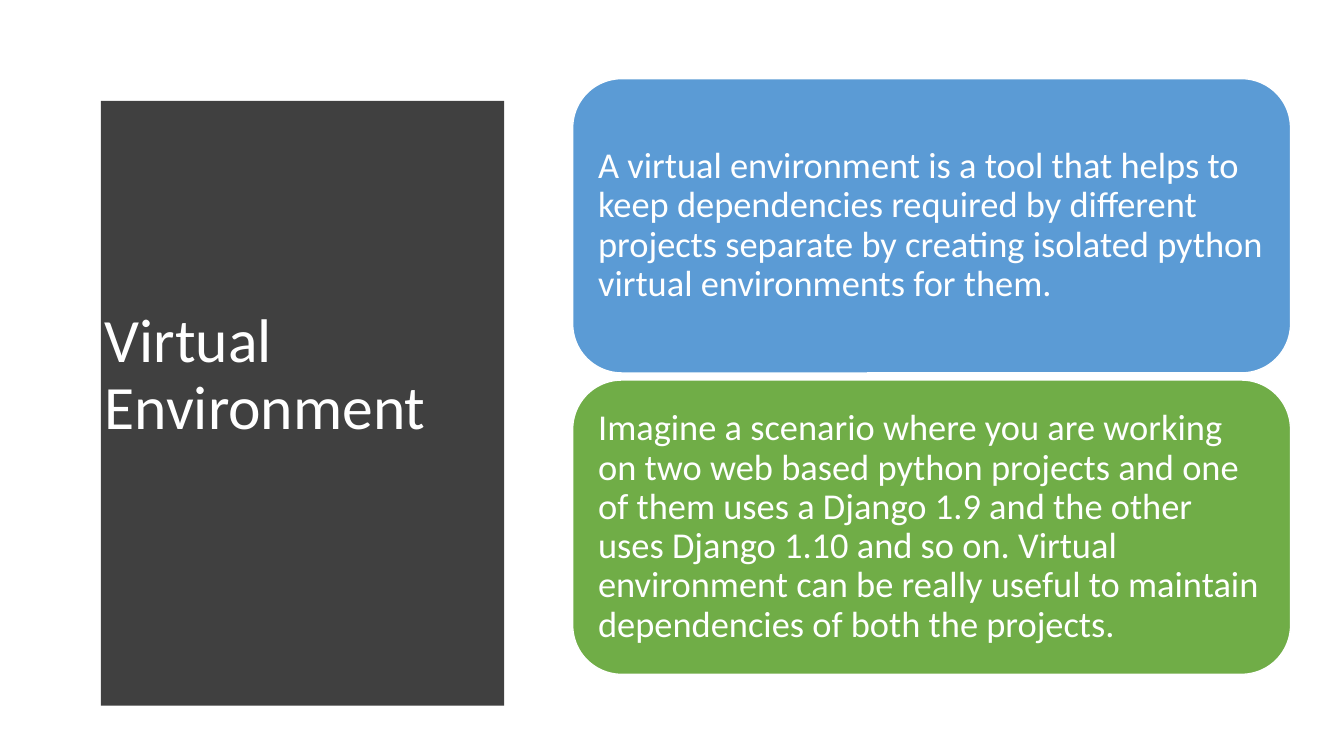
from pptx import Presentation
from pptx.dml.color import RGBColor
from pptx.enum.shapes import MSO_SHAPE as Shape
from pptx.enum.text import MSO_ANCHOR as Anchor, PP_ALIGN as Align
from pptx.util import Inches, Pt

WHITE = RGBColor(0xFF, 0xFF, 0xFF)
CHARCOAL = RGBColor(0x40, 0x40, 0x40)
BLUE = RGBColor(0x5B, 0x9B, 0xD5)
GREEN = RGBColor(0x70, 0xAD, 0x47)

# Content
TITLE = "Virtual Environment"
CARDS = [
    ("A virtual environment is a tool that helps to keep dependencies required "
     "by different projects separate by creating isolated python virtual "
     "environments for them.", BLUE),
    ("Imagine a scenario where you are working on two web based python projects "
     "and one of them uses a Django 1.9 and the other uses Django 1.10 and so on. "
     "Virtual environment can be really useful to maintain dependencies of both "
     "the projects.", GREEN),
]

# Layout, in inches
PANEL_LEFT, PANEL_TOP, PANEL_BOTTOM = 0.53, 0.52, 6.96
PANEL_EDGE = [
    (5.08, PANEL_TOP), (5.11, 0.74), (5.16, 1.04), (5.2, 1.34), (5.23, 1.64),
    (5.26, 1.94), (5.28, 2.24), (5.3, 2.6), (5.31, 2.9), (5.32, 3.25),
    (5.32, 3.94), (5.31, 4.27), (5.3, 4.52), (5.28, 4.95), (5.25, 5.4),
    (5.22, 5.81), (5.18, 6.17), (5.14, 6.48), (5.11, 6.72), (5.08, PANEL_BOTTOM),
]
TITLE_BOX = (0.94, 1.11, 3.74, 5.24)
CARD_LEFT, CARD_TOP, CARD_WIDTH, CARD_HEIGHT = 5.68, 0.78, 7.12, 2.92
CARD_PITCH = 2.99
CARD_INSET = 0.11


def write_text(shape, text, size, inset=None):
    frame = shape.text_frame
    frame.word_wrap = True
    frame.vertical_anchor = Anchor.MIDDLE
    if inset is not None:
        for side in ("left", "top", "right", "bottom"):
            setattr(frame, f"margin_{side}", Inches(inset))
    paragraph = frame.paragraphs[0]
    paragraph.text = text
    paragraph.alignment = Align.LEFT
    paragraph.line_spacing = 0.9
    for name, value in {"name": "Calibri", "size": Pt(size)}.items():
        setattr(paragraph.font, name, value)
    paragraph.font.color.rgb = WHITE


def fill_shape(shape, color):
    shape.shadow.inherit = False
    shape.fill.solid()
    shape.fill.fore_color.rgb = color


presentation = Presentation()
presentation.slide_width, presentation.slide_height = Inches(13.33), Inches(7.5)
slide = presentation.slides.add_slide(presentation.slide_layouts[6])

# Curved title panel
builder = slide.shapes.build_freeform(PANEL_LEFT, PANEL_TOP, scale=Inches(1))
builder.add_line_segments(PANEL_EDGE + [(PANEL_LEFT, PANEL_BOTTOM)], close=True)
panel = builder.convert_to_shape()
fill_shape(panel, CHARCOAL)
panel.line.fill.background()

# Title
title = slide.shapes.add_textbox(*map(Inches, TITLE_BOX))
write_text(title, TITLE, 44)

# Stacked cards
for index, (text, color) in enumerate(CARDS):
    box = (CARD_LEFT, CARD_TOP + index * CARD_PITCH, CARD_WIDTH, CARD_HEIGHT)
    card = slide.shapes.add_shape(Shape.ROUNDED_RECTANGLE, *map(Inches, box))
    fill_shape(card, color)
    card.line.color.rgb = WHITE
    card.line.width = Pt(1)
    write_text(card, text, 26, CARD_INSET)

presentation.save("out.pptx")
